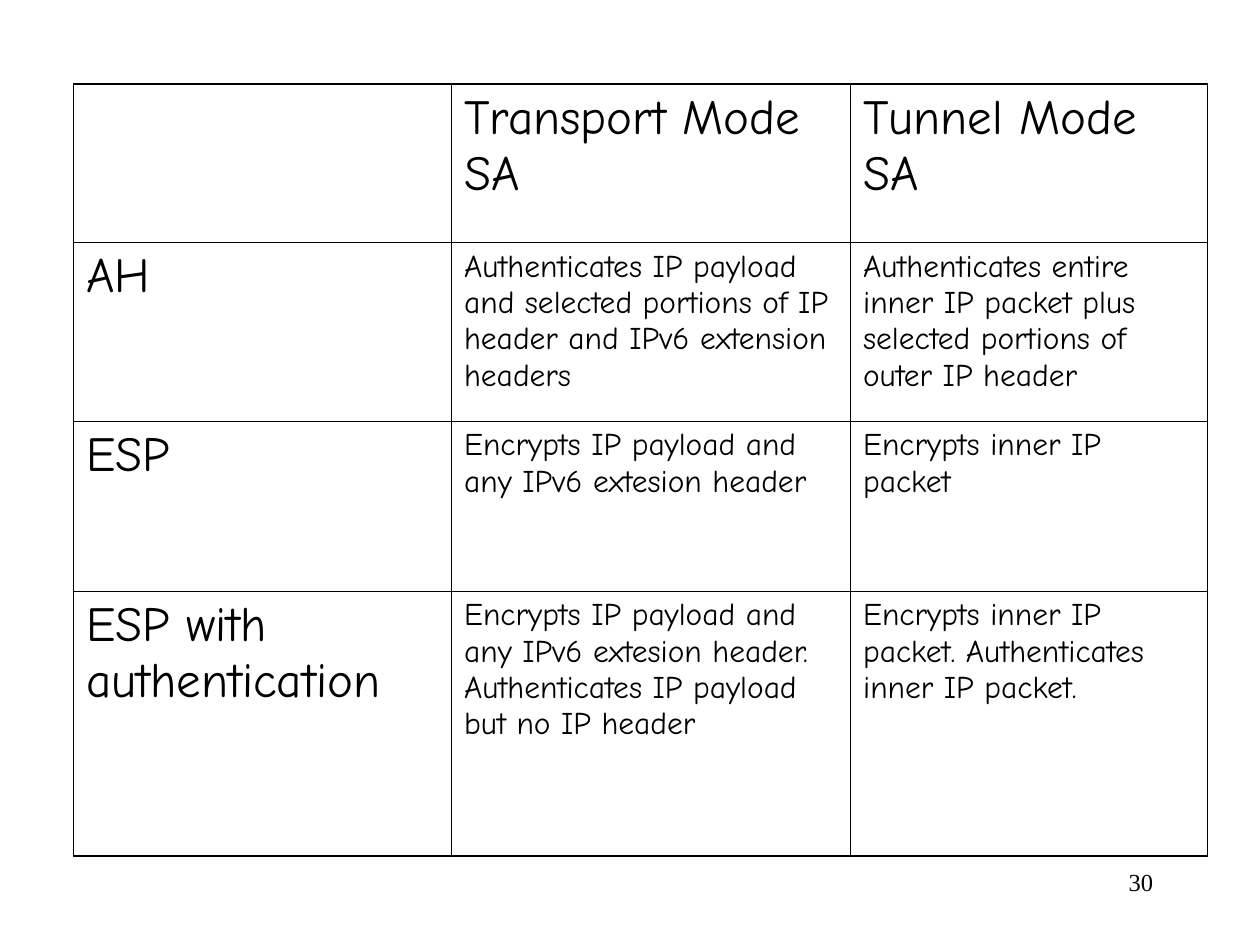
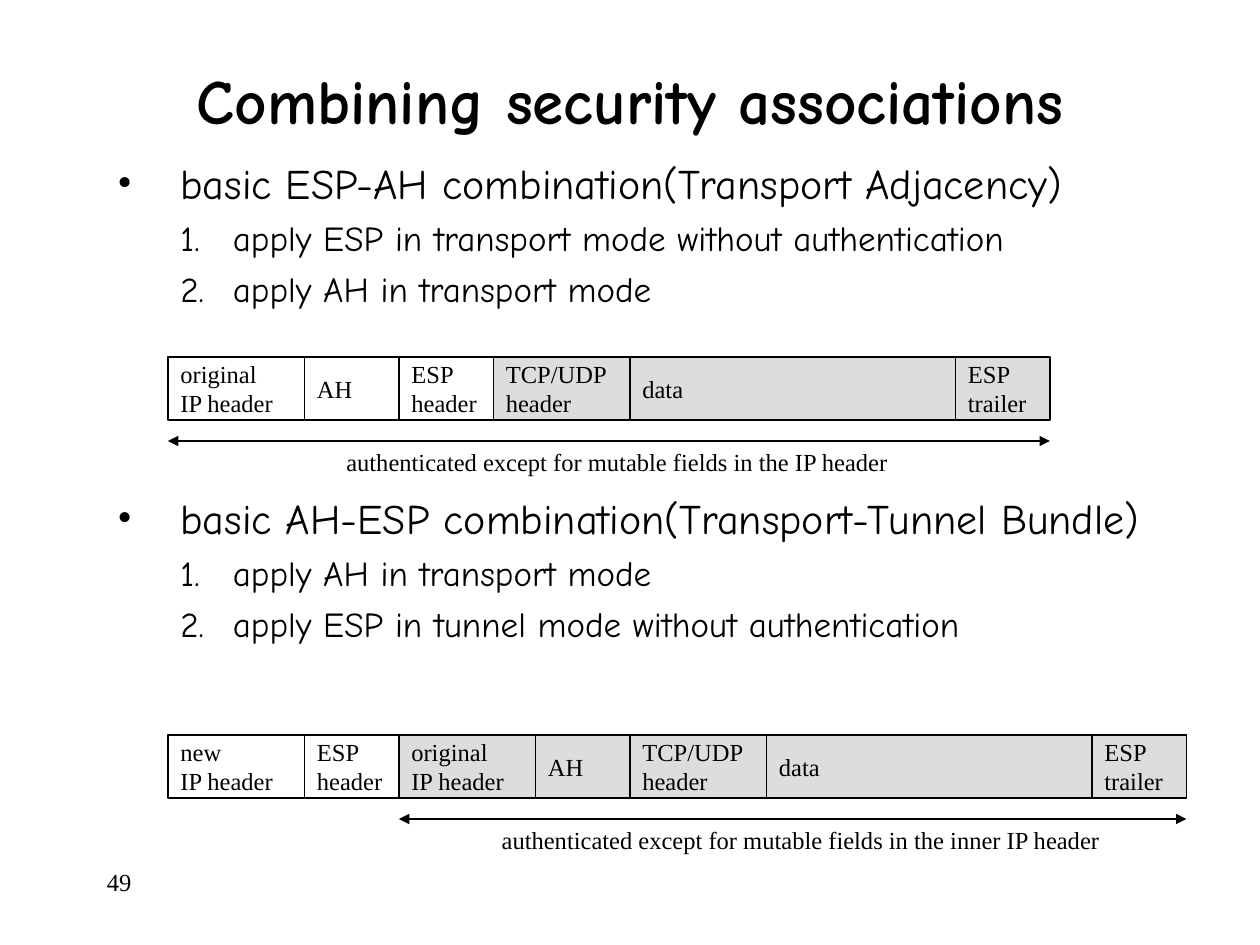
from dataclasses import dataclass

from lxml import etree
from pptx import Presentation
from pptx.dml.color import RGBColor
from pptx.enum.shapes import MSO_CONNECTOR, MSO_SHAPE
from pptx.enum.text import MSO_ANCHOR, PP_ALIGN
from pptx.oxml.ns import qn
from pptx.util import Emu, Pt

RECTANGLE = MSO_SHAPE.RECTANGLE
STRAIGHT = MSO_CONNECTOR.STRAIGHT
MIDDLE = MSO_ANCHOR.MIDDLE
LEFT, CENTER, RIGHT = PP_ALIGN.LEFT, PP_ALIGN.CENTER, PP_ALIGN.RIGHT
EMU_PER_PX = 7620
TITLE_ONLY, BLANK = 5, 6


@dataclass(frozen=True)
class Theme:
    ink: str = "000000"
    paper: str = "FFFFFF"
    encrypted: str = "DDDDDD"
    heading_font: str = "Comic Neue"
    label_font: str = "Times New Roman"
    title_size: int = 36
    head_size: int = 28
    cell_size: int = 18
    bullet_size: int = 24
    step_size: int = 20
    label_size: int = 14
    outer_border: float = 1.08
    inner_border: float = 0.45
    line_width: float = 0.75


THEME = Theme()
INK = RGBColor.from_string(THEME.ink)

MODE_ROWS = [
    ("", "Transport Mode SA", "Tunnel Mode SA"),
    ("AH",
     "Authenticates IP payload and selected portions of IP header and IPv6 extension headers",
     "Authenticates entire inner IP packet plus selected portions of outer IP header"),
    ("ESP", "Encrypts IP payload and any IPv6 extesion header", "Encrypts inner IP packet"),
    ("ESP with authentication",
     "Encrypts IP payload and any IPv6 extesion header. "
     "Authenticates IP payload but no IP header",
     "Encrypts inner IP packet. Authenticates inner IP packet."),
]
COLUMN_WIDTHS = (360, 380, 340)
ROW_HEIGHTS = (151, 170, 162, 252)

ORIGINAL_HEADER = ("original\nIP header", 130)
NEW_HEADER = ("new\nIP header", 130)
AH = ("AH", 90)
ESP_HEADER = ("ESP\nheader", 90)
TRANSPORT_HEADER = ("TCP/UDP\nheader", 130)
DATA = ("data", 310)
ESP_TRAILER = ("ESP\ntrailer", 90)


def px(*lengths):
    return [Emu(length * EMU_PER_PX) for length in lengths]


def format_paragraph(paragraph, font_name, size, alignment=LEFT, bold=False):
    paragraph.alignment = alignment
    for run in paragraph.runs:
        run.font.name = font_name
        run.font.size = Pt(size)
        run.font.bold = bold
        run.font.color.rgb = INK


def format_label(text_frame, alignment=LEFT):
    for paragraph in text_frame.paragraphs:
        format_paragraph(paragraph, THEME.label_font, THEME.label_size, alignment)


def add_label(slide, box, text, alignment=LEFT, wrap=True):
    text_frame = slide.shapes.add_textbox(*px(*box)).text_frame
    text_frame.word_wrap = wrap
    text_frame.text = text
    format_label(text_frame, alignment)


def add_page_number(slide, left, number, alignment):
    add_label(slide, (left, 820, 250, 60), number, alignment)


def set_title(slide, box, text):
    title = slide.shapes.title
    title.left, title.top, title.width, title.height = px(*box)
    title.text_frame.text = text
    title.text_frame.vertical_anchor = MIDDLE
    format_paragraph(title.text_frame.paragraphs[0], THEME.heading_font,
                     THEME.title_size, CENTER, True)


def set_cell_border(cell, side, width):
    properties = cell._tc.get_or_add_tcPr()
    line = etree.SubElement(properties, qn(f"a:ln{side}"), w=str(Pt(width)))
    fill = etree.SubElement(line, qn("a:solidFill"))
    etree.SubElement(fill, qn("a:srgbClr"), val=THEME.ink)


def add_mode_table(slide, left, top):
    row_count, column_count = len(ROW_HEIGHTS), len(COLUMN_WIDTHS)
    box = px(left, top, sum(COLUMN_WIDTHS), sum(ROW_HEIGHTS))
    table = slide.shapes.add_table(row_count, column_count, *box).table
    table.first_row = table.horz_banding = False
    for column, width in zip(table.columns, px(*COLUMN_WIDTHS)):
        column.width = width
    for row, height in zip(table.rows, px(*ROW_HEIGHTS)):
        row.height = height
    for row_index, texts in enumerate(MODE_ROWS):
        for column_index, text in enumerate(texts):
            cell = table.cell(row_index, column_index)
            cell.text = text
            is_head = row_index == 0 or column_index == 0
            format_paragraph(cell.text_frame.paragraphs[0], THEME.heading_font,
                             THEME.head_size if is_head else THEME.cell_size)
            on_edge = {"L": column_index == 0, "R": column_index == column_count - 1,
                       "T": row_index == 0, "B": row_index == row_count - 1}
            for side, outer in on_edge.items():
                set_cell_border(cell, side, THEME.outer_border if outer else THEME.inner_border)
            cell.fill.background()


def set_marker(paragraph, margin, hanging, tag, **attributes):
    properties = paragraph._p.get_or_add_pPr()
    properties.set("marL", str(margin * EMU_PER_PX))
    properties.set("indent", str(-hanging * EMU_PER_PX))
    color = etree.SubElement(properties, qn("a:buClr"))
    etree.SubElement(color, qn("a:srgbClr"), val=THEME.ink)
    if tag == "a:buChar":
        etree.SubElement(properties, qn("a:buFont"), typeface=THEME.label_font)
    etree.SubElement(properties, qn(tag), **attributes)


def add_combination(slide, box, heading, steps):
    text_frame = slide.shapes.add_textbox(*px(*box)).text_frame
    text_frame.word_wrap = True
    text_frame.text = "\n".join([heading, *steps])
    bullet, *step_paragraphs = text_frame.paragraphs
    set_marker(bullet, 60, 60, "a:buChar", char="•")
    format_paragraph(bullet, THEME.heading_font, THEME.bullet_size)
    for paragraph in step_paragraphs:
        paragraph.level = 1
        set_marker(paragraph, 110, 50, "a:buAutoNum", type="arabicPeriod")
        paragraph.space_before = Pt(5)
        format_paragraph(paragraph, THEME.heading_font, THEME.step_size)


def add_field(slide, box, text, color):
    field = slide.shapes.add_shape(RECTANGLE, *px(*box))
    field.shadow.inherit = False
    field.fill.solid()
    field.fill.fore_color.rgb = RGBColor.from_string(color)
    field.line.color.rgb = INK
    field.line.width = Pt(THEME.line_width)
    field.text_frame.word_wrap = False
    field.text_frame.vertical_anchor = MIDDLE
    field.text_frame.text = text
    format_label(field.text_frame)


def add_span_arrow(slide, start, end, y):
    arrow = slide.shapes.add_connector(STRAIGHT, *px(start, y, end, y))
    arrow.line.color.rgb = INK
    arrow.line.width = Pt(THEME.line_width)
    line = arrow.line._get_or_add_ln()
    for tag in ("a:headEnd", "a:tailEnd"):
        etree.SubElement(line, qn(tag), type="triangle")
    etree.SubElement(arrow._element.spPr, qn("a:effectLst"))


def add_packet(slide, left, top, fields, first_encrypted, first_authenticated,
               caption, caption_width):
    edges = [left]
    for index, (text, width) in enumerate(fields):
        color = THEME.encrypted if index >= first_encrypted else THEME.paper
        add_field(slide, (edges[-1], top, width, 60), text, color)
        edges.append(edges[-1] + width)
    start, end = edges[first_authenticated], edges[-1]
    add_span_arrow(slide, start, end, top + 80)
    caption_left = (start + end - caption_width) // 2 + 9
    add_label(slide, (caption_left, top + 80, caption_width, 41), caption, wrap=False)


def build_modes_slide(presentation):
    slide = presentation.slides.add_slide(presentation.slide_layouts[BLANK])
    add_page_number(slide, 860, "30", RIGHT)
    add_mode_table(slide, 70, 80)


def build_combining_slide(presentation):
    slide = presentation.slides.add_slide(presentation.slide_layouts[TITLE_ONLY])
    add_page_number(slide, 90, "49", LEFT)
    set_title(slide, (90, 20, 1020, 150), "Combining security associations")
    add_combination(slide, (100, 144, 1060, 160),
                    "basic ESP-AH combination(Transport Adjacency)",
                    ["apply ESP in transport mode without authentication",
                     "apply AH in transport mode"])
    add_packet(slide, 160, 340,
               [ORIGINAL_HEADER, AH, ESP_HEADER, TRANSPORT_HEADER, DATA, ESP_TRAILER], 3, 0,
               "authenticated except for mutable fields in the IP header", 541)
    add_combination(slide, (100, 463, 1060, 160),
                    "basic AH-ESP combination(Transport-Tunnel Bundle)",
                    ["apply AH in transport mode",
                     "apply ESP in tunnel mode without authentication"])
    add_packet(slide, 160, 700,
               [NEW_HEADER, ESP_HEADER, ORIGINAL_HEADER, AH, TRANSPORT_HEADER, DATA,
                ESP_TRAILER], 2, 2,
               "authenticated except for mutable fields in the inner IP header", 595)


def main():
    presentation = Presentation()
    presentation.slide_width, presentation.slide_height = px(1200, 900)
    build_modes_slide(presentation)
    build_combining_slide(presentation)
    presentation.save("out.pptx")


if __name__ == "__main__":
    main()
